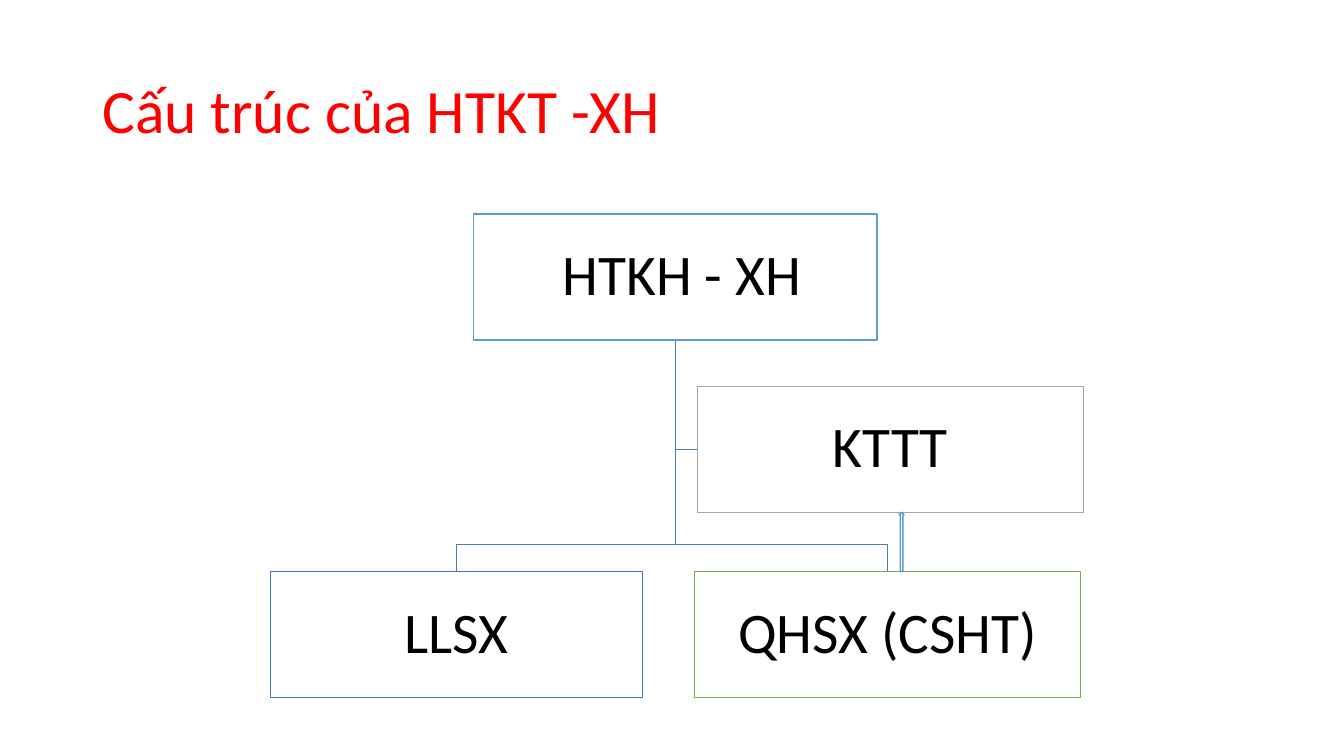
from pptx import Presentation
from pptx.dml.color import RGBColor
from pptx.enum.shapes import MSO_SHAPE
from pptx.enum.text import MSO_ANCHOR, PP_ALIGN
from pptx.util import Pt

RECT, ARROW = MSO_SHAPE.RECTANGLE, MSO_SHAPE.UP_ARROW
MID = MSO_ANCHOR.MIDDLE
LEFT, CENTER = PP_ALIGN.LEFT, PP_ALIGN.CENTER

THEME = {
    "font": "Calibri", "title": 44, "label": 41,
    "red": "FF0000", "black": "000000", "white": "FFFFFF",
    "link": "497CAB", "blue": "5B9BD5", "navy": "4472C4",
    "green": "70AD47", "gray": "A5A5A5",
}

TITLE = "Cấu trúc của HTKT -XH"
TITLE_AT = (66, 28.8, 828, 104.4)
HIGH = 90
NODES = {
    "root": (" HTKH - XH", 338.4, 152.8, 288, "blue"),
    "left": ("LLSX", 193, 408.2, 265.8, "navy"),
    "right": ("QHSX (CSHT)", 496.2, 408.2, 275.8, "green"),
    "side": ("KTTT", 498.2, 275.9, 275.8, "gray"),
}
BUS = 388.8
ARROW_X, ARROW_W = 642.2, 3.6


def color(name):
    return RGBColor.from_string(THEME[name])


def stroke(shape, name):
    shape.shadow.inherit = False
    shape.line.color.rgb = color(name)
    shape.line.width = Pt(1)


def block(kind, area, name):
    shape = slide.shapes.add_shape(kind, *map(Pt, area))
    shape.fill.solid()
    shape.fill.fore_color.rgb = color("white")
    stroke(shape, name)
    return shape


def write(shape, text, size, name, align):
    frame = shape.text_frame
    frame.word_wrap = True
    frame.vertical_anchor = MID
    para = frame.paragraphs[0]
    para.text = text
    para.alignment = align
    para.line_spacing = 0.9
    para.font.name = THEME["font"]
    para.font.size = Pt(THEME[size])
    para.font.color.rgb = color(name)
    return frame


def link(points):
    start, *rest = [(Pt(x), Pt(y)) for x, y in points]
    path = slide.shapes.build_freeform(*start)
    path.add_line_segments(rest, close=False)
    shape = path.convert_to_shape()
    shape.fill.background()
    stroke(shape, "link")


deck = Presentation()
deck.slide_width, deck.slide_height = Pt(960), Pt(540)
slide = deck.slides.add_slide(deck.slide_layouts[6])

box = slide.shapes.add_textbox(*map(Pt, TITLE_AT))
write(box, TITLE, "title", "red", LEFT)

_, x, y, wide, _ = NODES["root"]
stem, base = x + wide / 2, y + HIGH
_, x, y, _, _ = NODES["side"]
half = y + HIGH / 2
link([(stem, base), (stem, half), (x, half)])
for key in ("right", "left"):
    _, x, y, wide, _ = NODES[key]
    mid = x + wide / 2
    link([(stem, base), (stem, BUS), (mid, BUS), (mid, y)])

for text, x, y, wide, edge in NODES.values():
    node = block(RECT, (x, y, wide, HIGH), edge)
    frame = write(node, text, "label", "black", CENTER)
    frame.margin_left = frame.margin_right = Pt(2)
    frame.margin_top = frame.margin_bottom = Pt(2)

top = NODES["side"][2] + HIGH
block(ARROW, (ARROW_X, top, ARROW_W, NODES["right"][2] - top), "blue")

deck.save("out.pptx")
